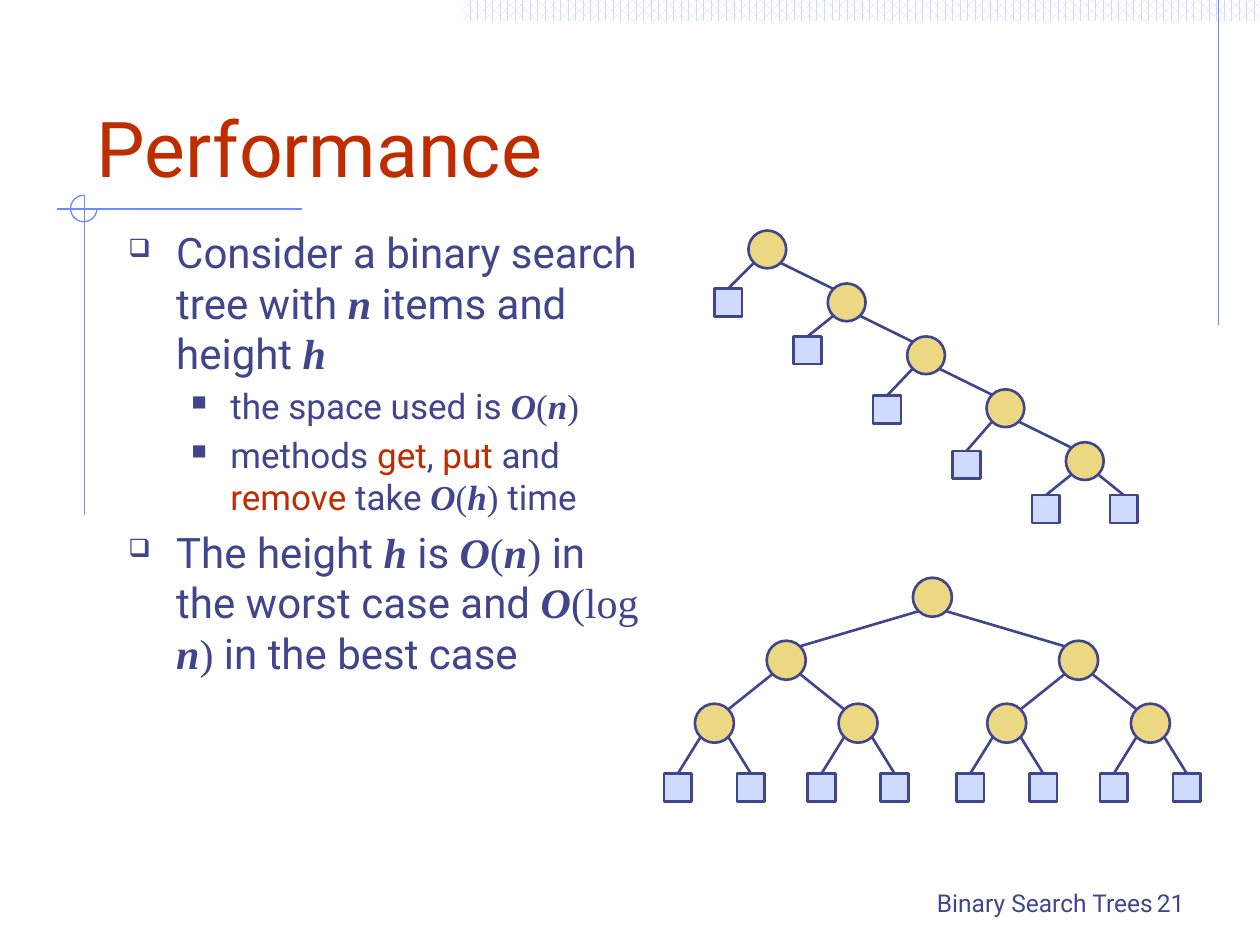
from lxml import etree
from pptx import Presentation
from pptx.dml.color import RGBColor
from pptx.enum.dml import MSO_PATTERN
from pptx.enum.shapes import MSO_CONNECTOR, MSO_SHAPE
from pptx.enum.text import MSO_ANCHOR, PP_ALIGN
from pptx.oxml.ns import qn
from pptx.util import Inches, Pt

STRAIGHT = MSO_CONNECTOR.STRAIGHT
RECTANGLE, OVAL, ARC = MSO_SHAPE.RECTANGLE, MSO_SHAPE.OVAL, MSO_SHAPE.ARC
TOP, BOTTOM = MSO_ANCHOR.TOP, MSO_ANCHOR.BOTTOM
LEFT, RIGHT = PP_ALIGN.LEFT, PP_ALIGN.RIGHT
DOTTED = MSO_PATTERN.PERCENT_60

INK, RED, BLUE = "40458C", "BE2D00", "6F89F7"
PALE, GOLD, WHITE = "CFDBFD", "ECD882", "FFFFFF"
SANS, SERIF = "Roboto", "Times New Roman"
LEAF_SIZE = 0.22

# Span styles: font, bold italic, colour
PLAIN = (SANS, False, INK)
CODE = (SANS, False, RED)
VARIABLE = (SERIF, True, INK)
MATH = (SERIF, False, INK)

# Each paragraph: level, then its spans
BODY = [
    (0, [("Consider a binary search tree with ", PLAIN), ("n", VARIABLE),
         (" items and height ", PLAIN), ("h", VARIABLE)]),
    (1, [("the space used is ", PLAIN), ("O", VARIABLE), ("(", MATH),
         ("n", VARIABLE), (")", MATH)]),
    (1, [("methods ", PLAIN), ("get", CODE), (",", PLAIN), (" put ", CODE),
         ("and ", PLAIN), ("remove", CODE), (" take ", PLAIN),
         ("O", VARIABLE), ("(", MATH), ("h", VARIABLE), (") ", MATH),
         ("time", PLAIN)]),
    (0, [("The height ", PLAIN), ("h", VARIABLE), (" is ", PLAIN),
         ("O", VARIABLE), ("(", MATH), ("n", VARIABLE), (") ", MATH),
         ("in the worst case and ", PLAIN), ("O", VARIABLE),
         ("(log ", MATH), ("n", VARIABLE), (")", MATH),
         (" in the best case", PLAIN)]),
]
# Each level: size, bullet, left margin, hanging indent
LEVELS = [(24, "❑", 0.38, 0.38), (20, "■", 0.81, 0.31)]


def color(value):
    return RGBColor.from_string(value)


def add_line(page, x1, y1, x2, y2, line=INK, width=1.5):
    connector = page.shapes.add_connector(
        STRAIGHT, Inches(x1), Inches(y1), Inches(x2), Inches(y2))
    connector.line.color.rgb = color(line)
    connector.line.width = Pt(width)
    etree.SubElement(connector._element.spPr, qn("a:effectLst"))
    return connector


def add_shape(page, kind, left, top, width, height):
    shape = page.shapes.add_shape(
        kind, Inches(left), Inches(top), Inches(width), Inches(height))
    shape.shadow.inherit = False
    return shape


def add_text_frame(page, left, top, width, height, anchor):
    box = page.shapes.add_textbox(
        Inches(left), Inches(top), Inches(width), Inches(height))
    frame = box.text_frame
    frame.word_wrap = True
    frame.vertical_anchor = anchor
    return frame


def add_label(page, text, left, top, width, height, size, ink, align):
    frame = add_text_frame(page, left, top, width, height, BOTTOM)
    frame.text = text
    para = frame.paragraphs[0]
    para.alignment = align
    font = para.runs[0].font
    font.name, font.size = SANS, Pt(size)
    font.color.rgb = color(ink)


def set_bullet(para, char, margin, hanging):
    props = para._p.get_or_add_pPr()
    props.set("marL", str(Inches(margin)))
    props.set("indent", str(-Inches(hanging)))
    bullet_color = etree.SubElement(props, qn("a:buClr"))
    etree.SubElement(bullet_color, qn("a:srgbClr"), val=INK)
    etree.SubElement(props, qn("a:buSzPct"), val="60000")
    etree.SubElement(props, qn("a:buChar"), char=char)


def add_body(page, left, top, width, height):
    frame = add_text_frame(page, left, top, width, height, TOP)
    for index, (level, spans) in enumerate(BODY):
        para = frame.add_paragraph() if index else frame.paragraphs[0]
        size, char, margin, hanging = LEVELS[level]
        para.level = level
        set_bullet(para, char, margin, hanging)
        if index:
            para.space_before = Pt(size * 0.2)
        for text, (name, emphasis, ink) in spans:
            span = para.add_run()
            span.text = text
            font = span.font
            font.name, font.size = name, Pt(size)
            font.bold = font.italic = emphasis
            font.color.rgb = color(ink)


def add_decoration(page):
    band = add_shape(page, RECTANGLE, 3.67, 0, 6.33, 0.17)
    band.fill.patterned()
    band.fill.pattern = DOTTED
    band.fill.fore_color.rgb = color(PALE)
    band.fill.back_color.rgb = color(WHITE)
    band.line.fill.background()
    for ends in [(9.67, 0, 9.67, 2.58), (0.45, 1.66, 2.4, 1.66),
                 (0.67, 1.55, 0.67, 4.09)]:
        add_line(page, *ends, line=BLUE, width=0.75)
    arc = add_shape(page, ARC, 0.56, 1.55, 0.21, 0.21)
    arc.adjustments[0] = 0
    arc.adjustments[1] = 162  # 270 degrees, in units of 100000/60000 degree
    arc.fill.background()
    arc.line.color.rgb = color(BLUE)
    arc.line.width = Pt(0.75)


def add_node(page, kind, x, y, size, fill):
    """Add a tree node centred on x, y."""
    node = add_shape(page, kind, x - size / 2, y - size / 2, size, size)
    node.fill.solid()
    node.fill.fore_color.rgb = color(fill)
    node.line.color.rgb = color(INK)
    node.line.width = Pt(1.5)
    return node


def add_leaf(page, parent_x, parent_y, x, y, size):
    """Add a square leaf and the edge from its round parent of that size."""
    leaf = add_node(page, RECTANGLE, x, y, LEAF_SIZE, PALE)
    reach = size * 0.36
    side = 1 if x > parent_x else -1
    edge = add_line(page, parent_x + side * reach, parent_y + reach,
                    x, y - LEAF_SIZE / 2)
    edge.end_connect(leaf, 0)


def add_inner_edge(page, parent_x, parent_y, x, y, size):
    reach = size * 0.36
    side = 1 if x > parent_x else -1
    add_line(page, parent_x + side * reach, parent_y + reach,
             x - side * reach, y - reach)


def add_skewed_tree(page, x, y, size=0.3):
    """Draw a worst-case tree with its root centred on x, y."""
    step_x, step_y, leaf_offset = 0.63, 0.42, 0.31
    leaf_drops = [0.42, 0.38, 0.43, 0.45, 0.38]
    for index, drop in enumerate(leaf_drops):
        add_node(page, OVAL, x, y, size, GOLD)
        add_leaf(page, x, y, x - leaf_offset, y + drop, size)
        if index == len(leaf_drops) - 1:
            add_leaf(page, x, y, x + leaf_offset, y + drop, size)
        else:
            add_inner_edge(page, x, y, x + step_x, y + step_y, size)
        x, y = x + step_x, y + step_y


def add_balanced_tree(page, x, y, offsets=(1.16, 0.57, 0.29), size=0.31):
    """Draw a best-case tree; offsets give the half-width of each level."""
    add_node(page, OVAL, x, y, size, GOLD)
    for child_x in (x - offsets[0], x + offsets[0]):
        if len(offsets) == 1:
            add_leaf(page, x, y, child_x, y + 0.51, size)
        else:
            add_inner_edge(page, x, y, child_x, y + 0.5, size)
            add_balanced_tree(page, child_x, y + 0.5, offsets[1:], size)


def main():
    deck = Presentation()
    deck.slide_width, deck.slide_height = Inches(10), Inches(7.5)
    page = deck.slides.add_slide(deck.slide_layouts[6])
    add_decoration(page)
    add_label(page, "Binary Search Trees", 7.17, 6.83, 2.08, 0.5, 14, INK, RIGHT)
    add_label(page, "21", 7.17, 6.83, 2.33, 0.5, 14, INK, RIGHT)
    add_label(page, "Performance", 0.67, 0.33, 8.5, 1.25, 44, RED, LEFT)
    add_body(page, 0.92, 1.75, 4.25, 5.08)
    add_skewed_tree(page, 6.09, 1.98)
    add_balanced_tree(page, 7.4, 4.74)
    deck.save("out.pptx")


if __name__ == "__main__":
    main()
